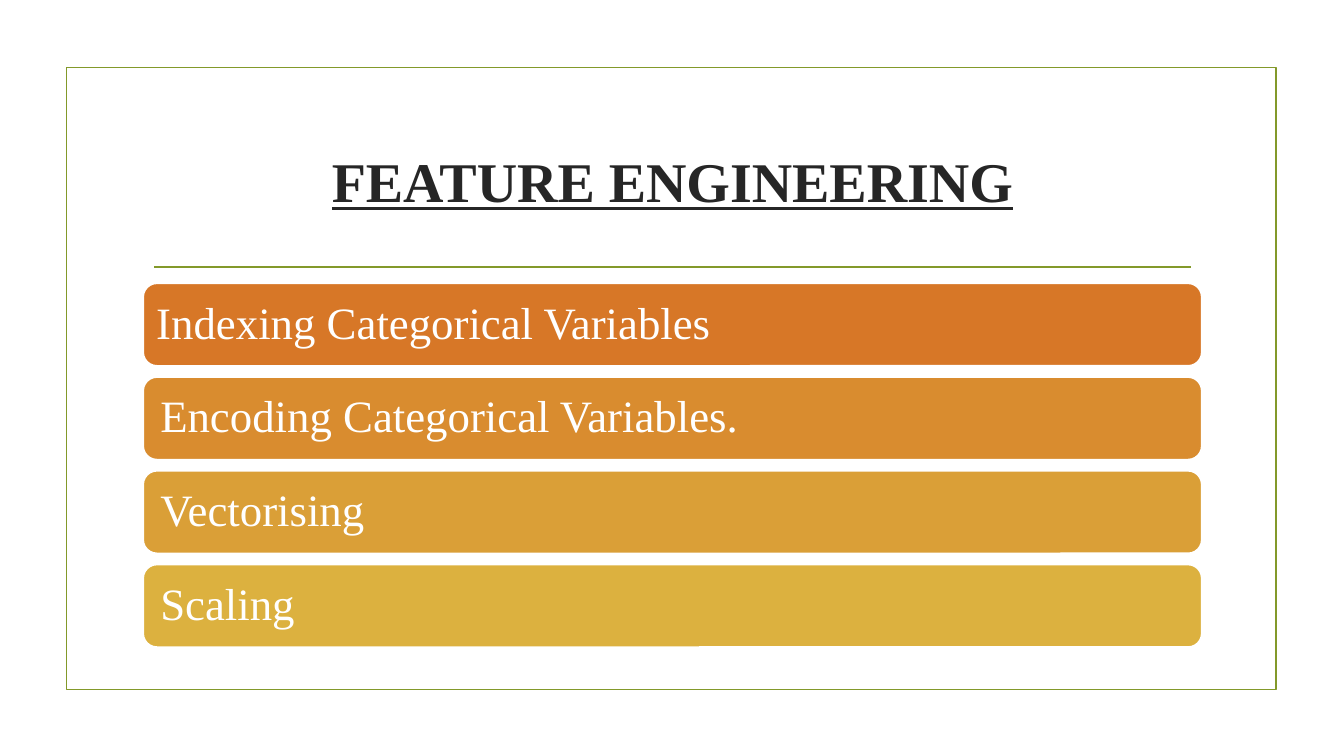
from lxml.etree import SubElement
from pptx import Presentation
from pptx.dml.color import RGBColor
from pptx.enum.shapes import MSO_CONNECTOR as Connector, MSO_SHAPE as Shape
from pptx.enum.text import MSO_ANCHOR as Anchor, PP_ALIGN as Align
from pptx.oxml.ns import qn
from pptx.util import Inches, Pt

COLORS = {"white": "FFFFFF", "olive": "83992A", "ink": "262626"}
STEPS = [
    ("Indexing Categorical Variables", "D77727", 0.09),
    ("Encoding Categorical Variables.", "D98C2F", 0.13),
    ("Vectorising", "DA9F37", 0.13),
    ("Scaling", "DCB13F", 0.13),
]
FONT = "Times New Roman"
BORDER = Pt(1.25)
LEFT, WIDTH = 1.42, 10.5
STEP_TOP, STEP_HEIGHT, STEP_PITCH = 2.81, 0.82, 0.93


def rgb(hex_color):
    return RGBColor.from_string(hex_color)


def write_text(frame, text, size, color, align=Align.LEFT, bold=False,
               underline=False, spacing=1.0, inset=0.1):
    frame.word_wrap = True
    frame.vertical_anchor = Anchor.MIDDLE
    frame.margin_left = frame.margin_right = Inches(inset)
    frame.margin_top = frame.margin_bottom = Inches(0.05)
    paragraph = frame.paragraphs[0]
    paragraph.alignment = align
    paragraph.line_spacing = spacing
    run = paragraph.add_run()
    run.text = text
    run.font.name = FONT
    run.font.size = Pt(size)
    run.font.bold = bold
    run.font.underline = underline
    run.font.color.rgb = rgb(color)


def add_box(slide, kind, left, top, width, height, line, fill=None):
    box = slide.shapes.add_shape(
        kind, Inches(left), Inches(top), Inches(width), Inches(height))
    box.shadow.inherit = False
    box.line.color.rgb = rgb(line)
    box.line.width = BORDER
    if fill:
        box.fill.solid()
        box.fill.fore_color.rgb = rgb(fill)
    else:
        box.fill.background()
    return box


def add_rule(slide, left, right, y):
    rule = slide.shapes.add_connector(
        Connector.STRAIGHT, Inches(left), Inches(y), Inches(right), Inches(y))
    rule.line.color.rgb = rgb(COLORS["olive"])
    rule.line.width = BORDER
    SubElement(rule._element.spPr, qn("a:effectLst"))


def add_title(slide, text):
    title = slide.shapes.title
    title.left, title.top = Inches(LEFT), Inches(1.07)
    title.width, title.height = Inches(WIDTH), Inches(1.43)
    write_text(title.text_frame, text, 40, COLORS["ink"], align=Align.CENTER,
               bold=True, underline=True)


def add_step(slide, index, text, fill, inset):
    step = add_box(slide, Shape.ROUNDED_RECTANGLE, LEFT,
                   STEP_TOP + index * STEP_PITCH, WIDTH, STEP_HEIGHT,
                   COLORS["white"], fill)
    write_text(step.text_frame, text, 32, COLORS["white"], spacing=0.9,
               inset=inset)


def main():
    deck = Presentation()
    deck.slide_width, deck.slide_height = Inches(13.33), Inches(7.5)
    slide = deck.slides.add_slide(deck.slide_layouts[5])
    add_box(slide, Shape.RECTANGLE, 0.66, 0.67, 12, 6.17, COLORS["olive"])
    add_rule(slide, 1.53, 11.81, 2.65)
    add_title(slide, "FEATURE ENGINEERING")
    for index, (text, fill, inset) in enumerate(STEPS):
        add_step(slide, index, text, fill, inset)
    deck.save("out.pptx")


if __name__ == "__main__":
    main()
